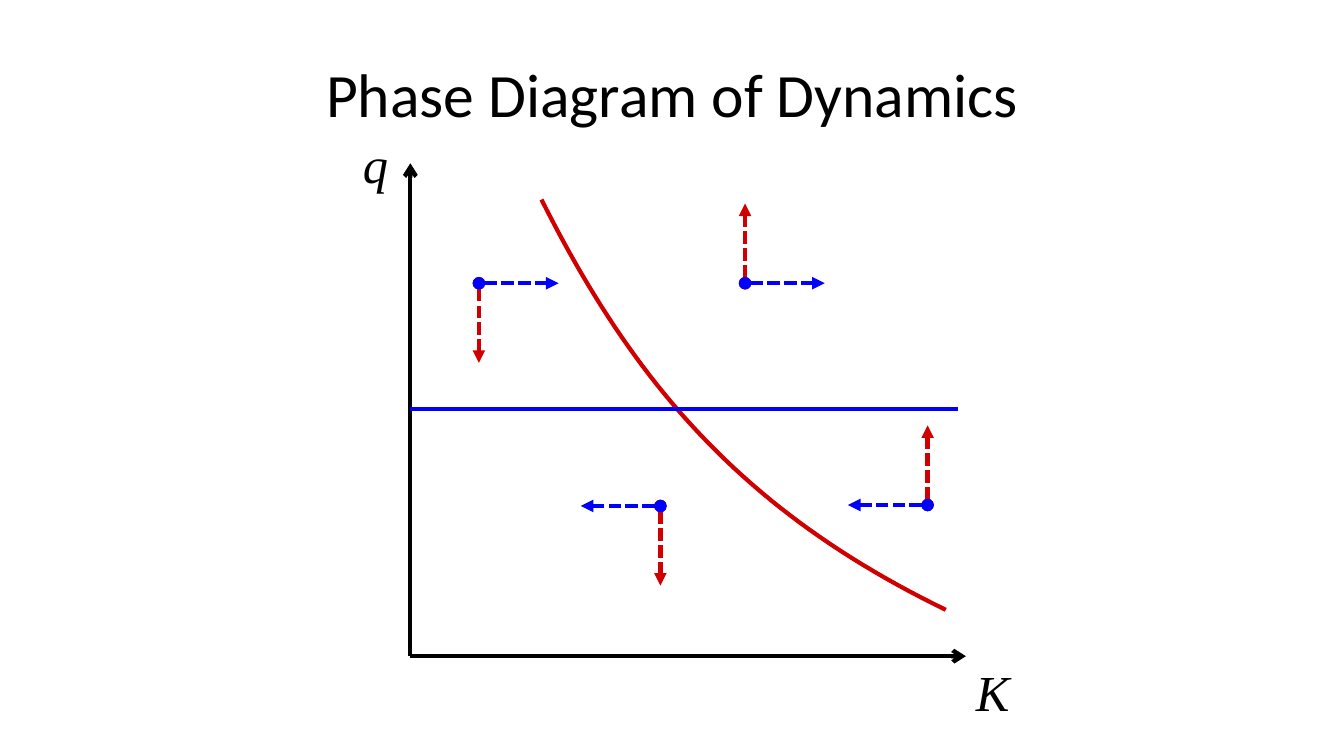
"""Build the phase diagram slide for the dynamics of q and K."""
from lxml.etree import SubElement
from pptx import Presentation
from pptx.dml.color import RGBColor
from pptx.enum.shapes import MSO_CONNECTOR
from pptx.enum.text import MSO_ANCHOR, PP_ALIGN
from pptx.oxml.ns import qn
from pptx.util import Inches, Pt

BLACK, RED, BLUE = "000000", "D00000", "0000FE"

prs = Presentation()
prs.slide_width, prs.slide_height = Inches(13.33), Inches(7.5)
s = prs.slides.add_slide(prs.slide_layouts[6])


def add_text(text, x, y, w, h, size, font, italic=False,
             align=PP_ALIGN.LEFT, anchor=MSO_ANCHOR.TOP):
    tf = s.shapes.add_textbox(Inches(x), Inches(y), Inches(w), Inches(h)).text_frame
    tf.word_wrap = True
    tf.vertical_anchor = anchor
    p = tf.paragraphs[0]
    p.alignment = align
    r = p.add_run()
    r.text = text
    r.font.size, r.font.name, r.font.italic = Pt(size), font, italic
    r.font.color.rgb = RGBColor.from_string(BLACK)


def add_line(x1, y1, x2, y2, color, dash=None, head=None, tail=None):
    c = s.shapes.add_connector(MSO_CONNECTOR.STRAIGHT, Inches(x1), Inches(y1),
                               Inches(x2), Inches(y2))
    c.line.width = Pt(3)
    c.line.color.rgb = RGBColor.from_string(color)
    ln = c.line._get_or_add_ln()
    for tag, key, value in (("a:prstDash", "val", dash), ("a:headEnd", "type", head),
                            ("a:tailEnd", "type", tail)):
        if value:
            SubElement(ln, qn(tag)).set(key, value)
    SubElement(c._element.spPr, qn("a:effectLst"))


add_text("Phase Diagram of Dynamics", 0.67, 0.3, 12, 1.25, 44, "Calibri",
         align=PP_ALIGN.CENTER, anchor=MSO_ANCHOR.MIDDLE)

origin_x, origin_y = 4.07, 6.51
add_line(origin_x, origin_y, origin_x, 1.62, BLACK, tail="arrow")
add_line(origin_x, origin_y, 9.58, origin_y, BLACK, tail="arrow")
for name, x, y in (("q", 3.5, 1.27), ("K", 9.58, 6.51)):
    add_text(name, x, y, 0.47, 0.71, 36, "Times New Roman", italic=True)

controls = ((5.37, 1.98), (6.28, 3.79), (7.36, 5.07), (9.38, 6.05))
steps = 48
curve = []
for i in range(steps + 1):
    t = i / steps
    weights = ((1 - t) ** 3, 3 * t * (1 - t) ** 2, 3 * t ** 2 * (1 - t), t ** 3)
    curve.append([Inches(sum(w * pt[axis] for w, pt in zip(weights, controls)))
                  for axis in (0, 1)])
builder = s.shapes.build_freeform(*curve[0])
builder.add_line_segments(curve[1:], close=False)
sp = builder.convert_to_shape()
sp.shadow.inherit = False
sp.fill.background()
sp.line.width = Pt(3)
sp.line.color.rgb = RGBColor.from_string(RED)

add_line(origin_x, 4.06, 9.5, 4.06, BLUE)

arrow = 0.79
for x, y, k_sign, q_sign in ((4.75, 2.81, 1, 1), (7.39, 2.81, 1, -1),
                             (6.55, 5.02, -1, 1), (9.2, 5.01, -1, -1)):
    for dx, dy, color in ((0, q_sign, RED), (k_sign, 0, BLUE)):
        add_line(x, y, x + dx * arrow, y + dy * arrow, color,
                 dash="sysDash", head="oval", tail="triangle")

prs.save("out.pptx")
